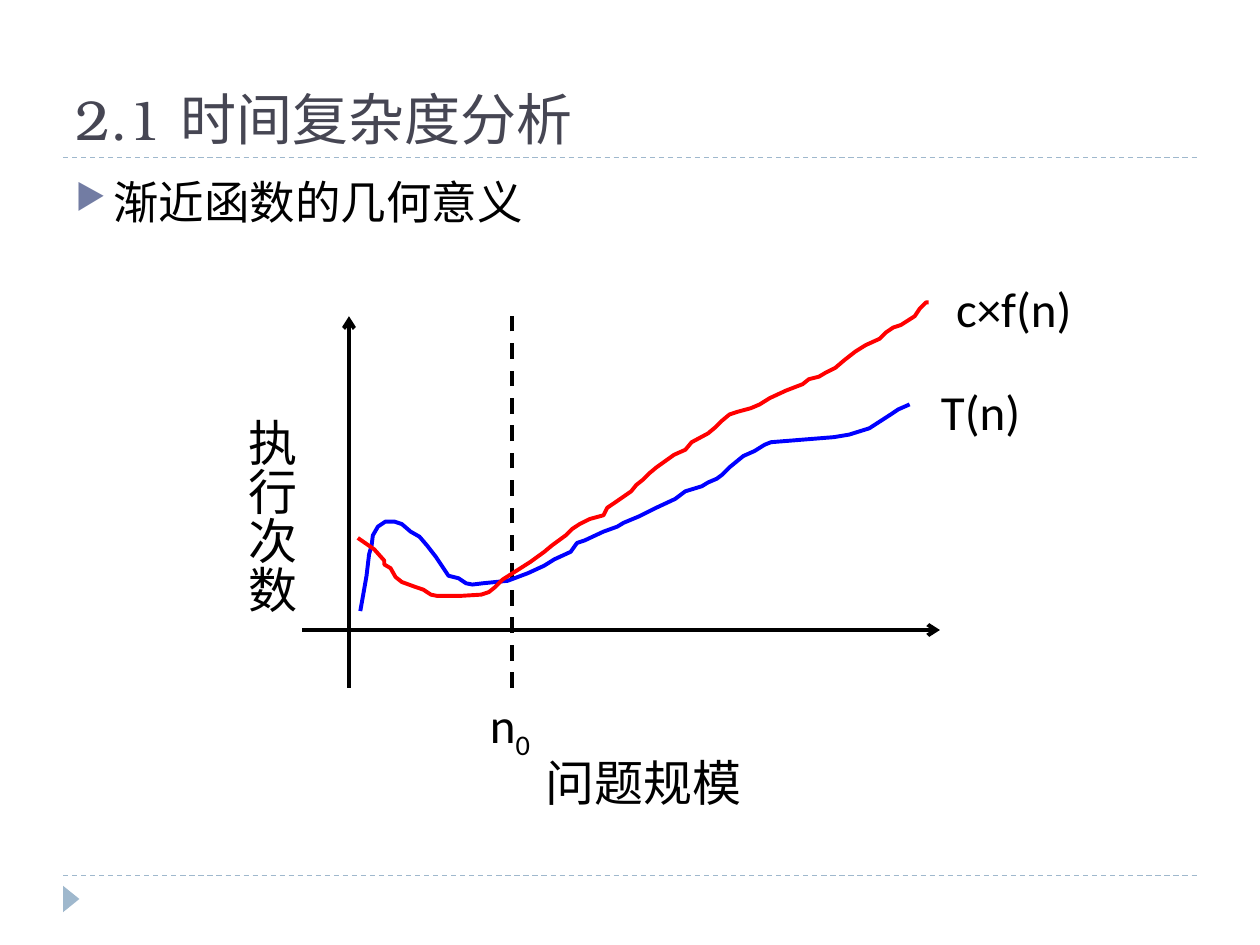
import pptx
import pptx.dml.color
import pptx.enum.dml
import pptx.enum.shapes
import pptx.enum.text
import pptx.oxml
import pptx.oxml.ns
import pptx.util
from pptx.util import Inches

COLORS = {
    "title": "464653",
    "text": "000000",
    "bullet": "727CA3",
    "rule": "9FB8CD",
    "axis": "000000",
    "running_time": "0000FF",
    "upper_bound": "FF0000",
}

RUNNING_TIME = [
    (2.86, 4.85), (2.88, 4.74), (2.91, 4.57), (2.93, 4.4), (2.95, 4.33),
    (2.96, 4.25), (3, 4.18), (3.06, 4.14), (3.13, 4.14), (3.19, 4.16),
    (3.26, 4.22), (3.33, 4.26), (3.39, 4.33), (3.46, 4.42), (3.52, 4.51),
    (3.56, 4.57), (3.64, 4.59), (3.7, 4.63), (3.75, 4.64), (3.83, 4.63),
    (4.03, 4.61), (4.19, 4.55), (4.32, 4.49), (4.4, 4.44), (4.53, 4.38),
    (4.58, 4.31), (4.64, 4.29), (4.79, 4.22), (4.9, 4.18), (4.95, 4.15),
    (5.07, 4.1), (5.21, 4.03), (5.36, 3.96), (5.44, 3.9), (5.57, 3.86),
    (5.62, 3.83), (5.69, 3.8), (5.73, 3.77), (5.79, 3.71), (5.9, 3.62),
    (5.99, 3.58), (6.07, 3.53), (6.12, 3.51), (6.37, 3.49), (6.62, 3.47),
    (6.74, 3.45), (6.9, 3.4), (7.07, 3.29), (7.13, 3.25), (7.22, 3.21),
]

UPPER_BOUND = [
    (2.84, 4.27), (2.97, 4.36), (3.05, 4.45), (3.05, 4.48), (3.1, 4.51),
    (3.14, 4.58), (3.19, 4.62), (3.3, 4.66), (3.36, 4.68), (3.42, 4.72),
    (3.47, 4.73), (3.65, 4.73), (3.82, 4.72), (3.88, 4.7), (3.93, 4.66),
    (3.99, 4.6), (4.1, 4.53), (4.21, 4.46), (4.32, 4.38), (4.38, 4.33),
    (4.49, 4.25), (4.54, 4.2), (4.6, 4.16), (4.68, 4.12), (4.79, 4.09),
    (4.82, 4.03), (4.88, 3.99), (5.01, 3.9), (5.05, 3.85), (5.1, 3.81),
    (5.15, 3.76), (5.21, 3.71), (5.35, 3.61), (5.44, 3.57), (5.49, 3.51),
    (5.62, 3.44), (5.68, 3.39), (5.73, 3.34), (5.79, 3.29), (5.85, 3.27),
    (5.96, 3.24), (6.03, 3.21), (6.11, 3.16), (6.24, 3.1), (6.37, 3.05),
    (6.42, 3.01), (6.5, 2.99), (6.55, 2.96), (6.63, 2.92), (6.7, 2.86),
    (6.79, 2.79), (6.87, 2.74), (6.98, 2.69), (7.03, 2.64), (7.09, 2.6),
    (7.15, 2.58), (7.26, 2.51), (7.3, 2.45), (7.35, 2.4), (7.37, 2.4),
]


def color(name):
    return pptx.dml.color.RGBColor.from_string(COLORS[name])


def add_text(slide, box, text, size=28, font="Calibri", ink="text", wrap=False,
             bottom=False, vertical=False, subscript=""):
    """Add one paragraph; text that does not wrap makes its box grow."""
    label = slide.shapes.add_textbox(*map(Inches, box))
    frame = label.text_frame
    frame.word_wrap = wrap
    if not wrap:
        frame.auto_size = pptx.enum.text.MSO_AUTO_SIZE.SHAPE_TO_FIT_TEXT
    if bottom:
        frame.vertical_anchor = pptx.enum.text.MSO_ANCHOR.BOTTOM
    if vertical:
        frame.margin_left = frame.margin_right = Inches(0.05)
        frame.margin_top = frame.margin_bottom = Inches(0.1)
        body = frame._txBody.find(pptx.oxml.ns.qn("a:bodyPr"))
        body.set("vert", "eaVert")
    paragraph = frame.paragraphs[0]
    for part in filter(None, (text, subscript)):
        run = paragraph.add_run()
        run.text = part
        run.font.size = pptx.util.Pt(size)
        run.font.name = font
        run.font.color.rgb = color(ink)
    if subscript:
        run.font._element.set("baseline", "-25000")
    return paragraph


def add_bullet(paragraph):
    """Give the paragraph a hanging arrowhead bullet."""
    paragraph.space_before = pptx.util.Pt(6)
    properties = paragraph._p.get_or_add_pPr()
    properties.set("marL", str(Inches(0.3)))
    properties.set("indent", str(Inches(-0.3)))
    namespace = pptx.oxml.ns.nsdecls("a")
    for xml in (
        f'<a:buClr {namespace}><a:srgbClr val="{COLORS["bullet"]}"/></a:buClr>',
        f'<a:buSzPct {namespace} val="76000"/>',
        f'<a:buChar {namespace} char="▶"/>',
    ):
        properties.append(pptx.oxml.parse_xml(xml))


def add_line(slide, start, end, ink="axis", width=2.25, dashed=False, arrow=False):
    line = slide.shapes.add_connector(
        pptx.enum.shapes.MSO_CONNECTOR.STRAIGHT, *map(Inches, start + end))
    line.line.color.rgb = color(ink)
    line.line.width = pptx.util.Pt(width)
    if dashed:
        line.line.dash_style = pptx.enum.dml.MSO_LINE.DASH
    namespace = pptx.oxml.ns.nsdecls("a")
    if arrow:
        line.line._get_or_add_ln().append(
            pptx.oxml.parse_xml(f'<a:tailEnd {namespace} type="arrow"/>'))
    line._element.spPr.append(pptx.oxml.parse_xml(f"<a:effectLst {namespace}/>"))


def add_curve(slide, points, ink):
    start, *rest = [(Inches(x), Inches(y)) for x, y in points]
    builder = slide.shapes.build_freeform(*start)
    builder.add_line_segments(rest, close=False)
    curve = builder.convert_to_shape()
    curve.shadow.inherit = False
    curve.fill.background()
    curve.line.color.rgb = color(ink)
    curve.line.width = pptx.util.Pt(2.25)


def add_frame(slide):
    """Add the two dashed rules and the footer marker."""
    for y in (6.95, 1.25):
        add_line(slide, (0.5, y), (9.5, y), ink="rule", width=0.75, dashed=True)
    marker = slide.shapes.add_shape(
        pptx.enum.shapes.MSO_SHAPE.ISOSCELES_TRIANGLE,
        *map(Inches, (0.46, 7.07, 0.21, 0.13)))
    marker.rotation = 90
    marker.shadow.inherit = False
    marker.fill.solid()
    marker.fill.fore_color.rgb = color("rule")
    marker.line.fill.background()


def add_growth_diagram(slide):
    axis_bottom, axis_top = 5.46, 2.51
    origin_x, threshold_x = 2.77, 4.06
    add_line(slide, (2.4, 5), (7.46, 5), arrow=True)
    add_line(slide, (origin_x, axis_bottom), (origin_x, axis_top), arrow=True)
    add_line(slide, (threshold_x, axis_bottom), (threshold_x, axis_top), dashed=True)
    add_curve(slide, RUNNING_TIME, "running_time")
    add_curve(slide, UPPER_BOUND, "upper_bound")
    add_text(slide, (3.79, 5.46, 0.52, 0.63), "n", subscript="0")
    add_text(slide, (4.23, 5.92, 1.75, 0.57), "问题规模")
    add_text(slide, (1.78, 3.22, 0.66, 1.66), "执行次数", vertical=True)
    add_text(slide, (7.37, 2.98, 0.83, 0.57), "T(n)")
    add_text(slide, (7.49, 2.16, 1.14, 0.57), "c×f(n)")


def main():
    deck = pptx.Presentation()
    deck.slide_width, deck.slide_height = Inches(10), Inches(7.5)
    slide = deck.slides.add_slide(deck.slide_layouts[6])
    add_frame(slide)
    add_text(slide, (0.5, 0.17, 9, 1.08), "2.1 时间复杂度分析", size=32,
             font="TeX Gyre Bonum", ink="title", wrap=True, bottom=True)
    topic = add_text(slide, (0.5, 1.33, 9, 5.4), "渐近函数的几何意义",
                     size=26, wrap=True)
    add_bullet(topic)
    add_growth_diagram(slide)
    deck.save("out.pptx")


if __name__ == "__main__":
    main()
